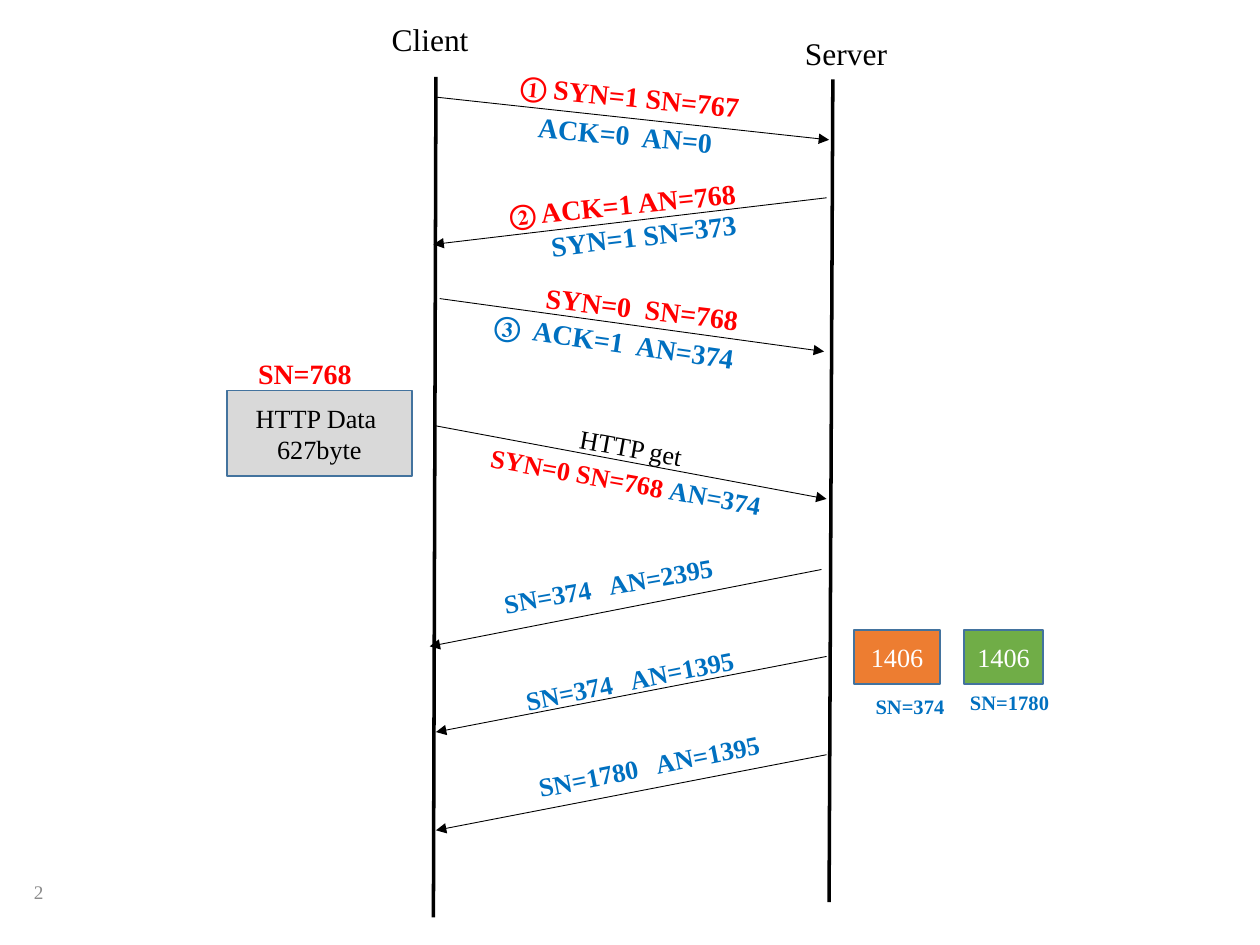
from dataclasses import dataclass

from lxml import etree
from pptx import Presentation
from pptx.dml.color import RGBColor
from pptx.enum.shapes import MSO_CONNECTOR, MSO_SHAPE
from pptx.enum.text import MSO_ANCHOR, MSO_AUTO_SIZE, PP_ALIGN
from pptx.oxml.ns import qn
from pptx.util import Inches, Pt

STRAIGHT = MSO_CONNECTOR.STRAIGHT
RECT = MSO_SHAPE.RECTANGLE
MIDDLE = MSO_ANCHOR.MIDDLE
TOP = MSO_ANCHOR.TOP
FIT = MSO_AUTO_SIZE.SHAPE_TO_FIT_TEXT
FIXED = MSO_AUTO_SIZE.NONE
CENTER = PP_ALIGN.CENTER


@dataclass(frozen=True)
class Theme:
    font: str = "Times New Roman"
    black: str = "000000"
    white: str = "FFFFFF"
    red: str = "FF0000"
    blue: str = "0070C0"
    grey: str = "8C8C8C"
    silver: str = "D9D9D9"
    green: str = "70AD47"
    orange: str = "ED7D31"
    edge: str = "43739E"
    title: float = 18
    handshake: float = 16
    body: float = 15
    caption: float = 11.7
    number: float = 11
    lifeline: float = 2
    arrow: float = 0.5
    border: float = 1


class Diagram:
    def __init__(self, slide, theme):
        self.s = slide
        self.t = theme

    def runs(self, p, runs, size, bold):
        for text, color in runs:
            r = p.add_run()
            r.text = text
            r.font.name = self.t.font
            r.font.size = Pt(size)
            r.font.bold = bold
            r.font.color.rgb = RGBColor.from_string(color)

    def text(self, box, runs, size, bold=False, angle=0, wrap=False,
             indent=0, anchor=TOP, fit=FIT):
        sp = self.s.shapes.add_textbox(*map(Inches, box))
        sp.rotation = angle
        tf = sp.text_frame
        tf.word_wrap = wrap
        tf.auto_size = fit
        tf.vertical_anchor = anchor
        tf.margin_left = Inches(0.1 + indent)
        self.runs(tf.paragraphs[0], runs, size, bold)

    def line(self, start, end, width, arrow=False):
        c = self.s.shapes.add_connector(STRAIGHT, *map(Inches, start + end))
        c.line.color.rgb = RGBColor.from_string(self.t.black)
        c.line.width = Pt(width)
        if arrow:
            etree.SubElement(c.line._get_or_add_ln(), qn("a:tailEnd"), type="triangle")
        etree.SubElement(c._element.spPr, qn("a:effectLst"))

    def block(self, box, text, fill, color):
        sp = self.s.shapes.add_shape(RECT, *map(Inches, box))
        sp.shadow.inherit = False
        sp.fill.solid()
        sp.fill.fore_color.rgb = RGBColor.from_string(fill)
        sp.line.color.rgb = RGBColor.from_string(self.t.edge)
        sp.line.width = Pt(self.t.border)
        tf = sp.text_frame
        tf.word_wrap = True
        tf.vertical_anchor = MIDDLE
        p = tf.paragraphs[0]
        p.alignment = CENTER
        self.runs(p, [(text, color)], self.t.body, False)


def main():
    t = Theme()
    prs = Presentation()
    prs.slide_width, prs.slide_height = Inches(10), Inches(7.5)
    d = Diagram(prs.slides.add_slide(prs.slide_layouts[6]), t)

    d.text((0.17, 6.88, 2.25, 0.4), [("2", t.grey)], t.number,
           wrap=True, anchor=MIDDLE, fit=FIXED)

    lifelines = [
        ("Client", (3.01, 0.11, 0.9, 0.4), (3.46, 0.61), (3.44, 7.28)),
        ("Server", (6.29, 0.22, 0.92, 0.4), (6.61, 0.63), (6.58, 7.16)),
    ]
    for name, box, start, end in lifelines:
        d.line(start, end, t.lifeline)
        d.text(box, [(name, t.black)], t.title)

    messages = [
        ((3.45, 0.77), (6.58, 1.11)),
        ((6.56, 1.57), (3.44, 1.94)),
        ((3.49, 2.37), (6.54, 2.79)),
        ((3.46, 3.38), (6.56, 3.96)),
        ((6.52, 4.52), (3.41, 5.13)),
        ((6.56, 5.21), (3.46, 5.81)),
        ((6.56, 5.99), (3.46, 6.59)),
    ]
    for start, end in messages:
        d.line(start, end, t.arrow, arrow=True)

    handshake = [
        ((3.97, 0.58, 2.03, 0.37), 5.7, 0.06, "① SYN=1 SN=767", t.red),
        ((3.78, 0.87, 2.04, 0.37), 5.1, 0.39, "ACK=0  AN=0", t.blue),
        ((3.88, 1.44, 2.09, 0.37), 354.3, 0.06, "② ACK=1 AN=768", t.red),
        ((3.94, 1.7, 2.03, 0.37), 353.2, 0.33, "SYN=1 SN=373", t.blue),
        ((3.95, 2.26, 2.22, 0.37), 6.7, 0.28, "SYN=0  SN=768", t.red),
        ((3.82, 2.54, 2.28, 0.37), 8.3, 0, "③  ACK=1  AN=374", t.blue),
    ]
    for box, angle, indent, text, color in handshake:
        d.text(box, [(text, color)], t.handshake, True, angle, True, indent)

    d.text((4.5, 3.38, 1.08, 0.35), [("HTTP get", t.black)], t.body, angle=10.2)
    d.text((3.78, 3.67, 2.64, 0.35),
           [("SYN=0 SN=768 ", t.red), ("AN=374", t.blue)],
           t.body, True, 10.2, True)

    replies = [
        ((3.89, 4.47, 1.9, 0.35), 350, "SN=374   AN=2395"),
        ((4.06, 5.22, 1.9, 0.35), 348.7, "SN=374   AN=1395"),
        ((4.16, 5.9, 2, 0.35), 348.7, "SN=1780   AN=1395"),
    ]
    for box, angle, text in replies:
        d.text(box, [(text, t.blue)], t.body, True, angle)

    d.block((1.8, 3.1, 1.47, 0.68), "HTTP Data  627byte", t.silver, t.black)
    d.text((1.95, 2.78, 0.95, 0.37), [("SN=768", t.red)], t.handshake, True)

    segments = [
        ((6.78, 5, 0.68, 0.43), t.orange, (6.85, 5.46, 0.75, 0.3), "SN=374"),
        ((7.65, 5, 0.63, 0.43), t.green, (7.6, 5.43, 0.83, 0.3), "SN=1780"),
    ]
    for box, fill, label_box, label in segments:
        d.block(box, "1406", fill, t.white)
        d.text(label_box, [(label, t.blue)], t.caption, True)

    prs.save("out.pptx")


if __name__ == "__main__":
    main()
